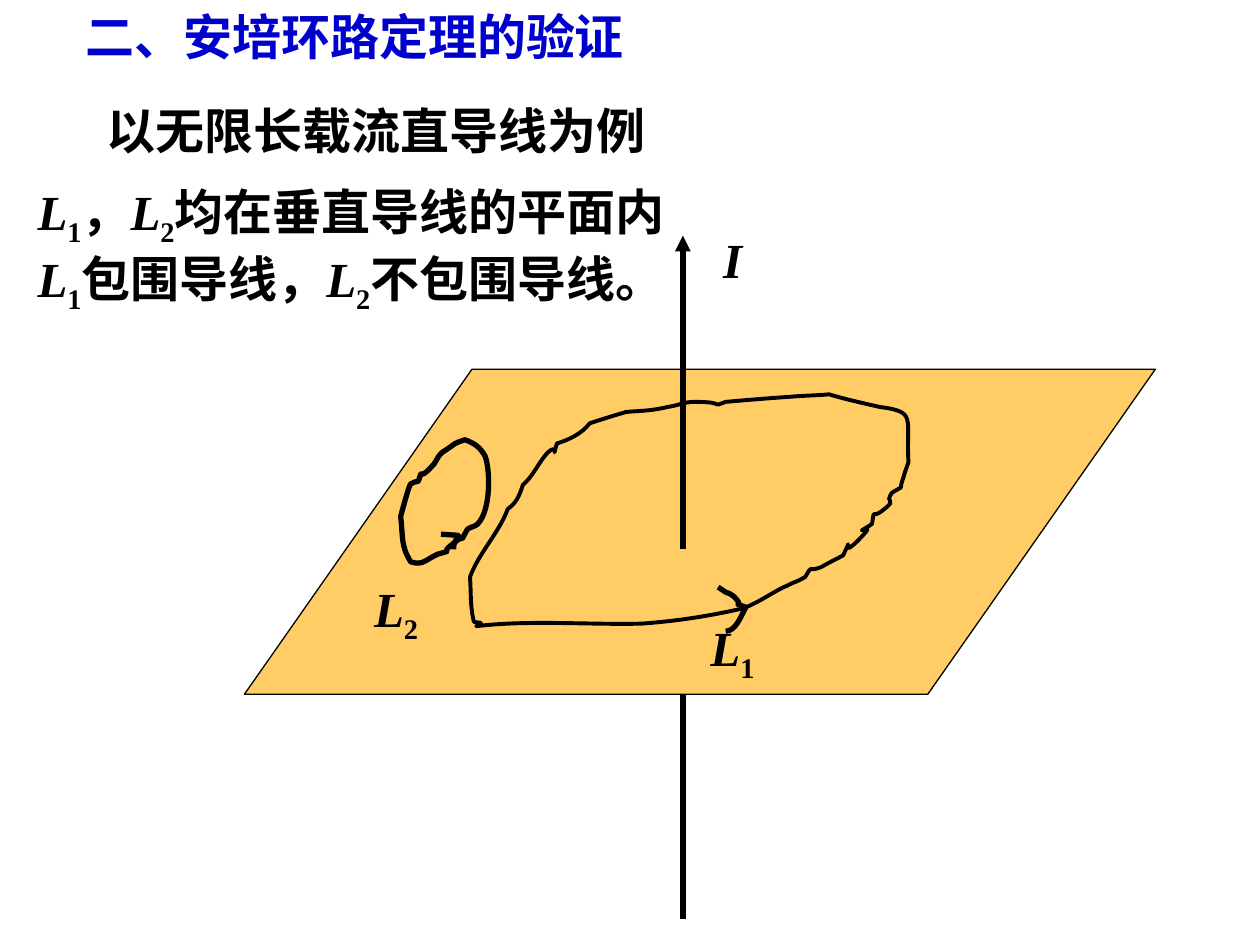
from dataclasses import dataclass

from lxml import etree
from pptx import Presentation
from pptx.dml.color import RGBColor
from pptx.enum.shapes import MSO_CONNECTOR, MSO_SHAPE
from pptx.enum.text import MSO_ANCHOR, MSO_AUTO_SIZE, PP_ALIGN
from pptx.oxml.ns import qn
from pptx.util import Inches, Pt

STRAIGHT = MSO_CONNECTOR.STRAIGHT
PARALLELOGRAM = MSO_SHAPE.PARALLELOGRAM
TOP, LEFT = MSO_ANCHOR.TOP, PP_ALIGN.LEFT
FIT_SHAPE = MSO_AUTO_SIZE.SHAPE_TO_FIT_TEXT

# The grid: 10 columns by 7.5 rows of square cells
CELL = Inches(1)
COLS, ROWS = 10, 7.5


@dataclass(frozen=True)
class Theme:
    font: str = "Times New Roman"
    size: int = 28
    heading: RGBColor = RGBColor(0x00, 0x00, 0xCC)
    ink: RGBColor = RGBColor(0x00, 0x00, 0x00)
    plane: RGBColor = RGBColor(0xFF, 0xCC, 0x66)
    thin: float = 0.75
    medium: float = 2.25
    thick: float = 3


@dataclass(frozen=True)
class Run:
    text: str
    italic: bool = False
    subscript: bool = False


@dataclass(frozen=True)
class TextBlock:
    box: tuple[float, float, float, float]
    lines: list[list[Run]]
    wrap: bool = False


@dataclass(frozen=True)
class Curve:
    start: tuple[float, float]
    beziers: list[tuple[float, ...]]  # two controls and an end point each
    width: float
    closed: bool = False
    filled: bool = False


THEME = Theme()


def cells(*values: float) -> list[int]:
    return [round(v * CELL) for v in values]


def loop_name(index: int) -> list[Run]:
    return [Run("L", italic=True), Run(str(index), subscript=True)]


def fill_text(tf, block: TextBlock, color: RGBColor) -> None:
    tf.word_wrap = block.wrap
    tf.auto_size = FIT_SHAPE
    tf.vertical_anchor = TOP
    for i, line in enumerate(block.lines):
        p = tf.add_paragraph() if i else tf.paragraphs[0]
        p.alignment = LEFT
        for run in line:
            r = p.add_run()
            r.text = run.text
            r.font.size, r.font.bold, r.font.italic = Pt(THEME.size), True, run.italic
            r.font.color.rgb = color
            r.font.name = THEME.font
            if run.subscript:
                r._r.get_or_add_rPr().set("baseline", "-25000")


def add_text(s, block: TextBlock) -> None:
    fill_text(s.shapes.add_textbox(*cells(*block.box)).text_frame, block, THEME.ink)


def add_title(s, block: TextBlock) -> None:
    sp = s.shapes.title
    sp.left, sp.top, sp.width, sp.height = cells(*block.box)
    fill_text(sp.text_frame, block, THEME.heading)


def add_wire(s, x: float, y1: float, y2: float, arrow: bool = False) -> None:
    line = s.shapes.add_connector(STRAIGHT, *cells(x, y1, x, y2))
    line.line.color.rgb = THEME.ink
    line.line.width = Pt(THEME.thick)
    if arrow:
        etree.SubElement(line.line._get_or_add_ln(), qn("a:tailEnd"), type="triangle")
    etree.SubElement(line._element.spPr, qn("a:effectLst"))


def style_shape(sp, width: float, filled: bool) -> None:
    sp.shadow.inherit = False
    if filled:
        sp.fill.solid()
        sp.fill.fore_color.rgb = THEME.plane
    else:
        sp.fill.background()
    sp.line.color.rgb = THEME.ink
    sp.line.width = Pt(width)


def add_curve(s, curve: Curve) -> None:
    points = [cells(*b[i:i + 2]) for b in curve.beziers for i in (0, 2, 4)]
    builder = s.shapes.build_freeform(*cells(*curve.start))
    builder.add_line_segments(points, close=curve.closed)
    sp = builder.convert_to_shape()
    # Join every three straight segments into one Bezier segment
    segments = list(sp._element.iter(qn("a:lnTo")))
    for first, second, third in zip(segments[::3], segments[1::3], segments[2::3]):
        first.tag = qn("a:cubicBezTo")
        for extra in (second, third):
            first.append(extra[0])
            extra.getparent().remove(extra)
    style_shape(sp, curve.width, curve.filled)


# Text
TITLE = TextBlock((0.58, 0, 7.17, 0.57), [[Run("二、安培环路定理的验证")]], wrap=True)
EXAMPLE = TextBlock((0.75, 0.75, 4.47, 0.57), [[Run("以无限长载流直导线为例")]])
CURRENT = TextBlock((5.64, 1.77, 0.35, 0.57), [[Run("I", italic=True)]])
L1_LABEL = TextBlock((5.54, 4.85, 0.55, 0.63), [loop_name(1)])
L2_LABEL = TextBlock((2.87, 4.54, 0.55, 0.63), [loop_name(2)])
EXPLANATION = TextBlock((0.2, 1.39, 5.76, 1.16), [
    [*loop_name(1), Run("，"), *loop_name(2), Run("均在垂直导线的平面内")],
    [*loop_name(1), Run("包围导线，"), *loop_name(2), Run("不包围导线。")],
], wrap=True)

# Hand-drawn loops and their direction marks
L1_LOOP = Curve((3.78, 4.97), [
    (4.2, 4.92, 4.67, 4.96, 5.09, 4.95), (5.37, 4.93, 5.63, 4.89, 5.89, 4.83),
    (5.99, 4.8, 6.12, 4.71, 6.22, 4.66), (6.25, 4.65, 6.28, 4.63, 6.31, 4.62),
    (6.34, 4.61, 6.39, 4.58, 6.39, 4.58), (6.46, 4.47, 6.39, 4.55, 6.52, 4.5),
    (6.57, 4.47, 6.69, 4.41, 6.69, 4.41), (6.8, 4.19, 6.64, 4.46, 6.81, 4.29),
    (7.02, 4.08, 6.7, 4.3, 6.92, 4.16), (6.95, 4.01, 6.9, 4.14, 7.02, 4.04),
    (7.13, 3.95, 7.01, 4.01, 7.08, 3.91), (7.1, 3.89, 7.13, 3.89, 7.15, 3.87),
    (7.15, 3.85, 7.16, 3.82, 7.17, 3.79), (7.18, 3.75, 7.21, 3.67, 7.21, 3.67),
    (7.19, 3.31, 7.28, 3.27, 6.98, 3.23), (6.85, 3.2, 6.71, 3.17, 6.58, 3.13),
    (6.48, 3.14, 6.37, 3.14, 6.27, 3.15), (6.1, 3.16, 5.76, 3.19, 5.76, 3.19),
    (5.62, 3.24, 5.79, 3.19, 5.51, 3.19), (5.43, 3.19, 5.38, 3.22, 5.3, 3.23),
    (5.18, 3.26, 5.1, 3.26, 4.97, 3.27), (4.87, 3.3, 4.77, 3.33, 4.68, 3.36),
    (4.62, 3.44, 4.52, 3.49, 4.42, 3.52), (4.37, 3.69, 4.45, 3.49, 4.34, 3.6),
    (4.27, 3.68, 4.23, 3.78, 4.15, 3.85), (4.12, 3.94, 4.1, 3.99, 4.03, 4.04),
    (3.96, 4.23, 3.8, 4.39, 3.73, 4.58), (3.74, 4.7, 3.73, 4.81, 3.76, 4.93),
    (3.76, 4.95, 3.81, 4.93, 3.82, 4.95), (3.83, 4.96, 3.79, 4.96, 3.78, 4.97),
], THEME.medium, closed=True)
L1_MARK = Curve((5.7, 4.66), [
    (5.72, 4.67, 5.74, 4.69, 5.76, 4.7), (5.78, 4.71, 5.8, 4.71, 5.82, 4.73),
    (5.94, 4.85, 5.77, 4.76, 5.92, 4.82), (5.88, 4.89, 5.84, 5.01, 5.76, 5.01),
], THEME.thick)
L2_LOOP = Curve((3.18, 4.1), [
    (3.19, 4.06, 3.25, 3.84, 3.26, 3.84), (3.28, 3.83, 3.3, 3.82, 3.32, 3.82),
    (3.37, 3.68, 3.3, 3.84, 3.42, 3.71), (3.46, 3.68, 3.47, 3.62, 3.51, 3.59),
    (3.65, 3.5, 3.58, 3.53, 3.69, 3.49), (3.77, 3.52, 3.81, 3.55, 3.85, 3.62),
    (3.89, 3.72, 3.9, 4.05, 3.79, 4.16), (3.77, 4.18, 3.74, 4.18, 3.71, 4.2),
    (3.62, 4.36, 3.73, 4.2, 3.59, 4.32), (3.47, 4.41, 3.64, 4.35, 3.47, 4.4),
    (3.38, 4.44, 3.36, 4.49, 3.26, 4.46), (3.18, 4.33, 3.2, 4.27, 3.18, 4.1),
], THEME.thick, closed=True, filled=True)
L2_MARK = Curve((3.5, 4.24), [(3.74, 4.26, 3.6, 4.22, 3.6, 4.36)], THEME.thick)


def main() -> None:
    prs = Presentation()
    prs.slide_width, prs.slide_height = cells(COLS, ROWS)
    s = prs.slides.add_slide(prs.slide_layouts.get_by_name("Title Only"))

    # Heading and example
    add_title(s, TITLE)
    add_text(s, EXAMPLE)

    # Plane crossed by the wire
    plane = s.shapes.add_shape(PARALLELOGRAM, *cells(1.94, 2.93, 7.23, 2.58))
    plane.adjustments[0] = 0.7
    style_shape(plane, THEME.thin, filled=True)
    add_wire(s, 5.42, 5.51, 7.29)
    add_text(s, CURRENT)
    add_wire(s, 5.42, 4.36, 1.87, arrow=True)

    # Loops with labels and direction marks, then the explanation
    for loop, label, mark in ((L1_LOOP, L1_LABEL, L1_MARK), (L2_LOOP, L2_LABEL, L2_MARK)):
        add_curve(s, loop)
        add_text(s, label)
        add_curve(s, mark)
    add_text(s, EXPLANATION)

    prs.save("out.pptx")


if __name__ == "__main__":
    main()
